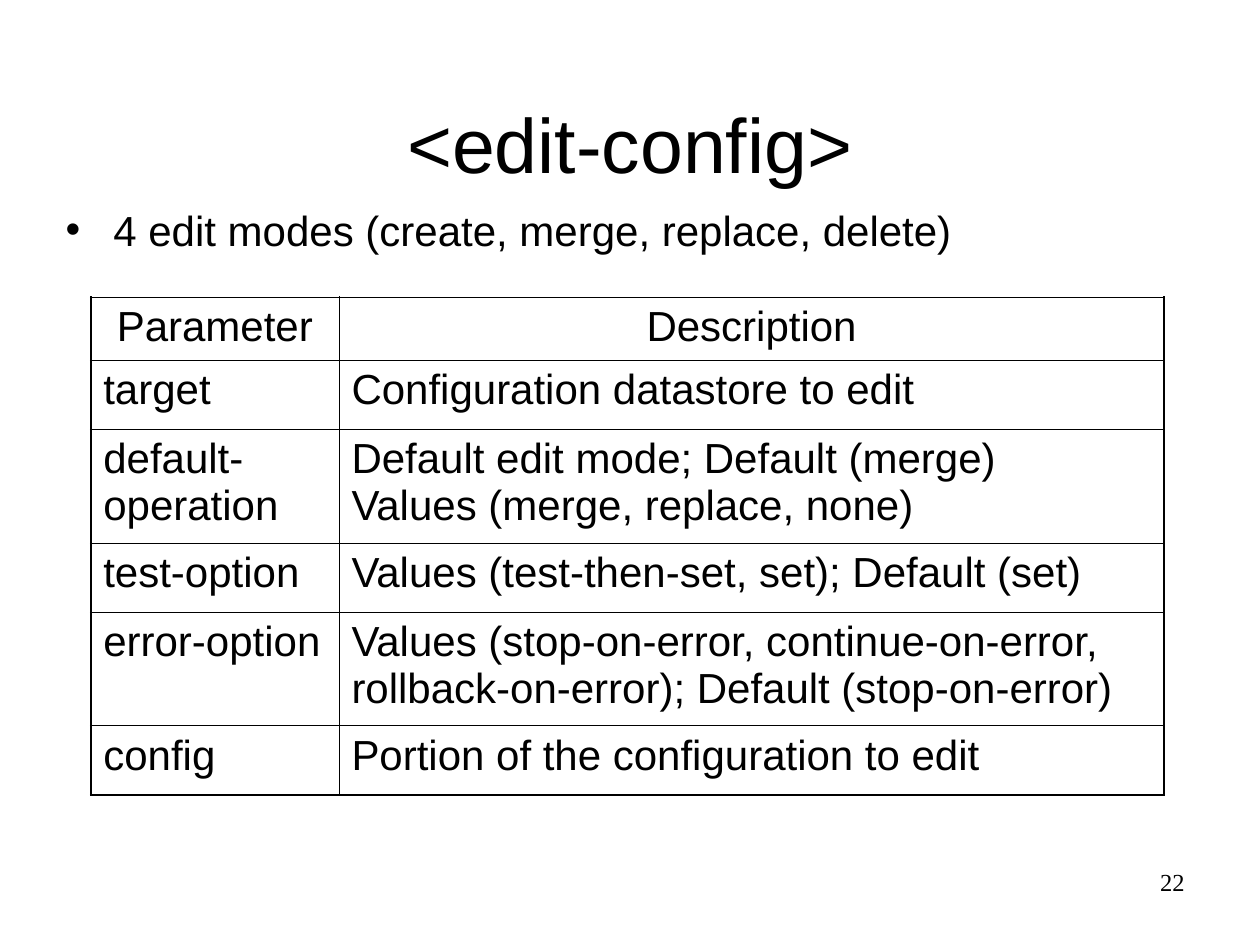
from lxml import etree
from pptx import Presentation
from pptx.dml.color import RGBColor
from pptx.enum.text import MSO_ANCHOR as Anchor, MSO_AUTO_SIZE as AutoSize, PP_ALIGN as Align
from pptx.oxml.ns import qn
from pptx.util import Inches, Pt

COLORS = {"ink": "000000", "paper": "FFFFFF"}
THIN, THICK = 0.45, 1.08
COLUMN_WIDTHS = [1.97, 6.55]
ROW_HEIGHTS = [0.5, 0.55, 0.9, 0.55, 0.9, 0.55]
PARAMETERS = [
    ("Parameter", "Description"),
    ("target", "Configuration datastore to edit"),
    ("default-operation", "Default edit mode; Default (merge)\nValues (merge, replace, none)"),
    ("test-option", "Values (test-then-set, set); Default (set)"),
    ("error-option", "Values (stop-on-error, continue-on-error, "
                     "rollback-on-error); Default (stop-on-error)"),
    ("config", "Portion of the configuration to edit"),
]


def write(frame, text, size=24, font="Arial", color="ink", align=Align.LEFT, bullet=None):
    frame.word_wrap = True
    paragraph = frame.paragraphs[0]
    paragraph.text = text
    paragraph.alignment = align
    paragraph.space_before = Pt(0)
    if bullet:
        properties = paragraph._p.get_or_add_pPr()
        properties.set("marL", str(Inches(0.38)))
        properties.set("indent", str(-Inches(0.38)))
        etree.SubElement(properties, qn("a:buFont"), typeface=font)
        etree.SubElement(properties, qn("a:buChar"), char=bullet)
    for run in paragraph.runs:
        run.font.size = Pt(size)
        run.font.name = font
        run.font.bold = False
        run.font.color.rgb = RGBColor.from_string(COLORS[color])


def place(shape, left, top, width, height):
    shape.left, shape.top = Inches(left), Inches(top)
    shape.width, shape.height = Inches(width), Inches(height)


def add_heading(slide, left, top, width, height):
    heading = slide.shapes.title
    place(heading, left, top, width, height)
    heading.text_frame.auto_size = AutoSize.NONE
    heading.text_frame.vertical_anchor = Anchor.BOTTOM
    write(heading.text_frame, "<edit-config>", size=44, align=Align.CENTER)


def add_edit_modes(slide, left, top, width, height):
    edit_modes = slide.placeholders[1]
    place(edit_modes, left, top, width, height)
    edit_modes.text_frame.auto_size = AutoSize.NONE
    write(edit_modes.text_frame, "4 edit modes (create, merge, replace, delete)", bullet="•")


def set_borders(cell, **widths):
    properties = cell._tc.get_or_add_tcPr()
    for side, width in widths.items():
        line = etree.SubElement(properties, qn(f"a:ln{side}"), w=str(Pt(width)))
        fill = etree.SubElement(line, qn("a:solidFill"))
        etree.SubElement(fill, qn("a:srgbClr"), val=COLORS["ink"])


def add_parameters(slide, left, top):
    table = slide.shapes.add_table(
        len(PARAMETERS), len(COLUMN_WIDTHS), Inches(left), Inches(top),
        Inches(sum(COLUMN_WIDTHS)), Inches(sum(ROW_HEIGHTS))).table
    table.first_row = table.horz_banding = False
    for column, width in zip(table.columns, COLUMN_WIDTHS):
        column.width = Inches(width)
    last_row, last_column = len(PARAMETERS) - 1, len(COLUMN_WIDTHS) - 1
    for r, (entries, height) in enumerate(zip(PARAMETERS, ROW_HEIGHTS)):
        table.rows[r].height = Inches(height)
        for c, entry in enumerate(entries):
            cell = table.cell(r, c)
            write(cell.text_frame, entry, align=Align.LEFT if r else Align.CENTER)
            set_borders(cell,
                        L=THIN if c else THICK,
                        R=THICK if c == last_column else THIN,
                        T=THIN if r else THICK,
                        B=THICK if r == last_row else THIN)
            cell.fill.background()


def add_page_number(slide, left, top, width, height):
    page_number = slide.shapes.add_textbox(
        Inches(left), Inches(top), Inches(width), Inches(height))
    write(page_number.text_frame, "22", size=14, font="Times New Roman", align=Align.RIGHT)


def main():
    deck = Presentation()
    deck.slide_width, deck.slide_height = Inches(10), Inches(7.5)
    slide = deck.slides.add_slide(deck.slide_layouts[1])
    slide.background.fill.solid()
    slide.background.fill.fore_color.rgb = RGBColor.from_string(COLORS["paper"])
    add_heading(slide, 0.5, 0.3, 9, 1.25)
    add_edit_modes(slide, 0.42, 1.57, 8.7, 0.63)
    add_parameters(slide, 0.72, 2.36)
    add_page_number(slide, 7.17, 6.83, 2.33, 0.52)
    deck.save("out.pptx")


if __name__ == "__main__":
    main()
